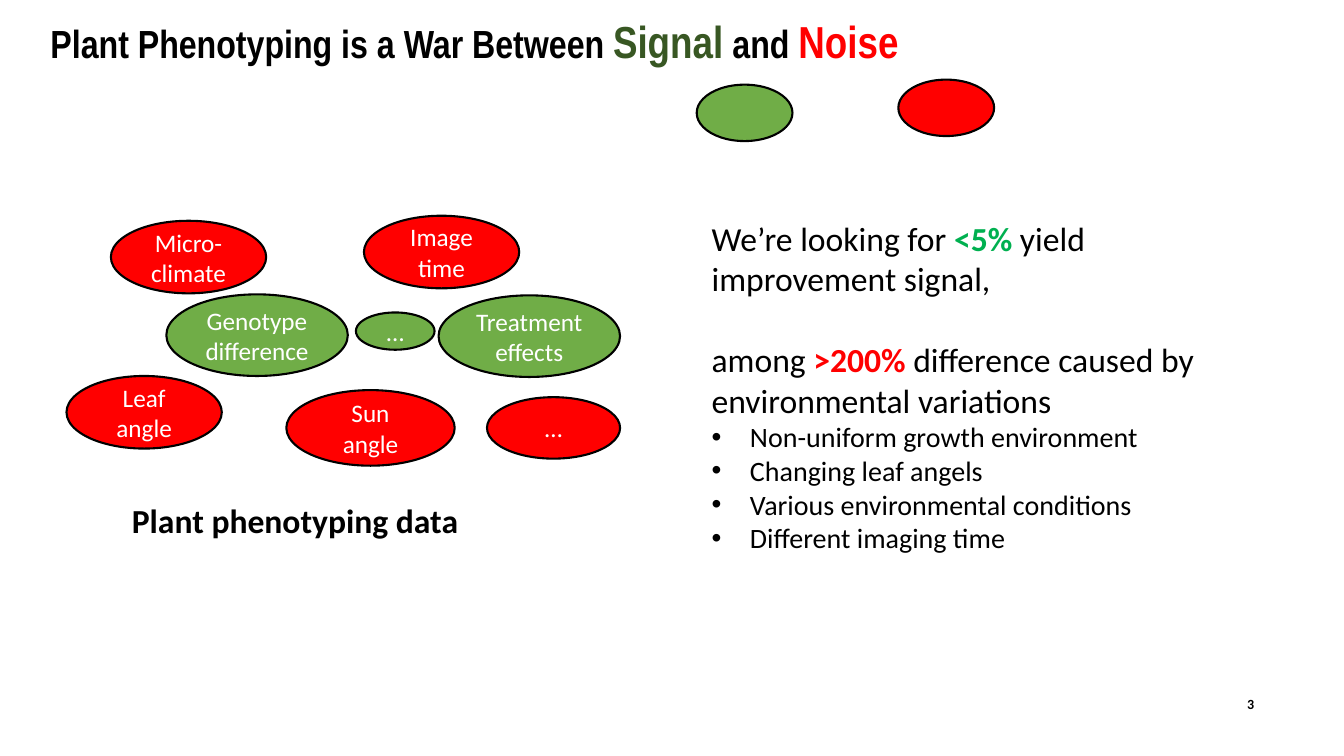
from pptx import Presentation
from pptx.dml.color import RGBColor
from pptx.enum.shapes import MSO_SHAPE
from pptx.enum.text import MSO_ANCHOR, PP_ALIGN
from pptx.oxml.ns import qn
from pptx.util import Inches, Pt
from lxml.etree import SubElement

HUES = {"black": "000000", "white": "FFFFFF", "red": "FF0000", "green": "70AD47",
        "dark": "385723", "bright": "00B050"}
BASE = {"name": "Calibri", "size": Pt(24), "bold": False}


def style(font, hue="black", **form):
    for key, val in {**BASE, **form}.items():
        setattr(font, key, val)
    font.color.rgb = RGBColor.from_string(HUES[hue])


def write(par, runs, **form):
    """Each run is a text and a dict of what sets it apart."""
    for text, extra in runs:
        run = par.add_run()
        run.text = text
        style(run.font, **{**form, **extra})


def add_box(slide, box, inset=None):
    frame = slide.shapes.add_textbox(*map(Inches, box)).text_frame
    frame.word_wrap = True
    if inset is not None:
        for side in ("left", "top", "right", "bottom"):
            setattr(frame, f"margin_{side}", Inches(inset))
    return frame


def add_bullet(par):
    props = par._p.get_or_add_pPr()
    props.set("marL", str(Inches(0.38)))
    props.set("indent", str(-Inches(0.38)))
    SubElement(props, qn("a:buFont"), typeface="Arial")
    SubElement(props, qn("a:buChar"), char="•")


def add_oval(slide, box, hue, lines=()):
    oval = slide.shapes.add_shape(MSO_SHAPE.FLOWCHART_CONNECTOR, *map(Inches, box))
    oval.shadow.inherit = False
    oval.fill.solid()
    oval.fill.fore_color.rgb = RGBColor.from_string(HUES[hue])
    oval.line.color.rgb = RGBColor.from_string(HUES["black"])
    oval.line.width = Pt(1.5)
    frame = oval.text_frame
    frame.word_wrap = True
    frame.vertical_anchor = MSO_ANCHOR.MIDDLE
    for i, line in enumerate(lines):
        par = frame.add_paragraph() if i else frame.paragraphs[0]
        par.alignment = PP_ALIGN.CENTER
        write(par, [(line, {})], hue="white", size=Pt(18))


def add_title(slide, box):
    par = add_box(slide, box, 0).paragraphs[0]
    par.line_spacing = 0.9
    write(par, [("Plant Phenotyping is a War Between ", {}),
                ("Signal", {"size": Pt(32), "hue": "dark"}),
                (" and ", {}),
                ("Noise", {"size": Pt(32), "hue": "red"})],
          name="Arial Narrow", size=Pt(28), bold=True)


def add_key(slide, box):
    """Signal and noise markers under the title."""
    left, top, wide, high = box
    add_oval(slide, (left + 2, top - 0.05, wide, high), "red")
    add_oval(slide, (left, top, wide, high), "green")


def add_cloud(slide, box):
    """Ovals of signal and noise, with the label below."""
    left, top = box[:2]
    big, mid = (1.8, 0.81), (1.54, 0.72)
    ovals = [
        (0.99, 0.78, big, "green", ["Genotype", "difference"]),
        (0.44, 0.05, mid, "red", ["Micro-climate"]),
        (0, 1.59, mid, "red", ["Leaf angle"]),
        (2.18, 1.73, (1.67, 0.75), "red", ["Sun angle"]),
        (2.95, 0, mid, "red", ["Image time"]),
        (3.69, 0.79, big, "green", ["Treatment effects"]),
        (4.17, 1.8, (1.32, 0.61), "red", ["…"]),
        (2.87, 0.96, (0.78, 0.37), "green", ["…"]),
    ]
    for x, y, size, hue, lines in ovals:
        add_oval(slide, (left + x, top + y, *size), hue, lines)
    label = add_box(slide, (left + 0.55, top + 2.77, 4.23, 0.5))
    write(label.paragraphs[0], [("Plant phenotyping data", {})], bold=True)


def add_claim(slide, box):
    frame = add_box(slide, box)
    write(frame.paragraphs[0], [("We’re looking for ", {}),
                                ("<5% ", {"hue": "bright", "bold": True}),
                                ("yield improvement signal,", {})])
    par = frame.add_paragraph()
    par.space_before = Pt(29.3)
    write(par, [("among ", {}), (">200% ", {"hue": "red", "bold": True}),
                ("difference caused by environmental variations", {})])
    for cause in ("Non-uniform growth environment", "Changing leaf angels",
                  "Various environmental conditions", "Different imaging time"):
        par = frame.add_paragraph()
        add_bullet(par)
        write(par, [(cause, {})], size=Pt(20))


def add_number(slide, box):
    frame = add_box(slide, box)
    frame.vertical_anchor = MSO_ANCHOR.MIDDLE
    par = frame.paragraphs[0]
    par.alignment = PP_ALIGN.CENTER
    write(par, [("3", {})], size=Pt(10), bold=True)


def main():
    deck = Presentation()
    deck.slide_width, deck.slide_height = Inches(13.33), Inches(7.5)
    slide = deck.slides.add_slide(deck.slide_layouts[6])
    add_title(slide, (0.5, 0.2, 10.62, 0.96))
    add_number(slide, (12.14, 6.78, 0.53, 0.4))
    add_claim(slide, (6.96, 2.11, 5.55, 3.77))
    add_key(slide, (6.91, 0.84, 0.95, 0.56))
    add_cloud(slide, (0.66, 2.14, 5.49, 3.27))
    deck.save("out.pptx")


if __name__ == "__main__":
    main()
